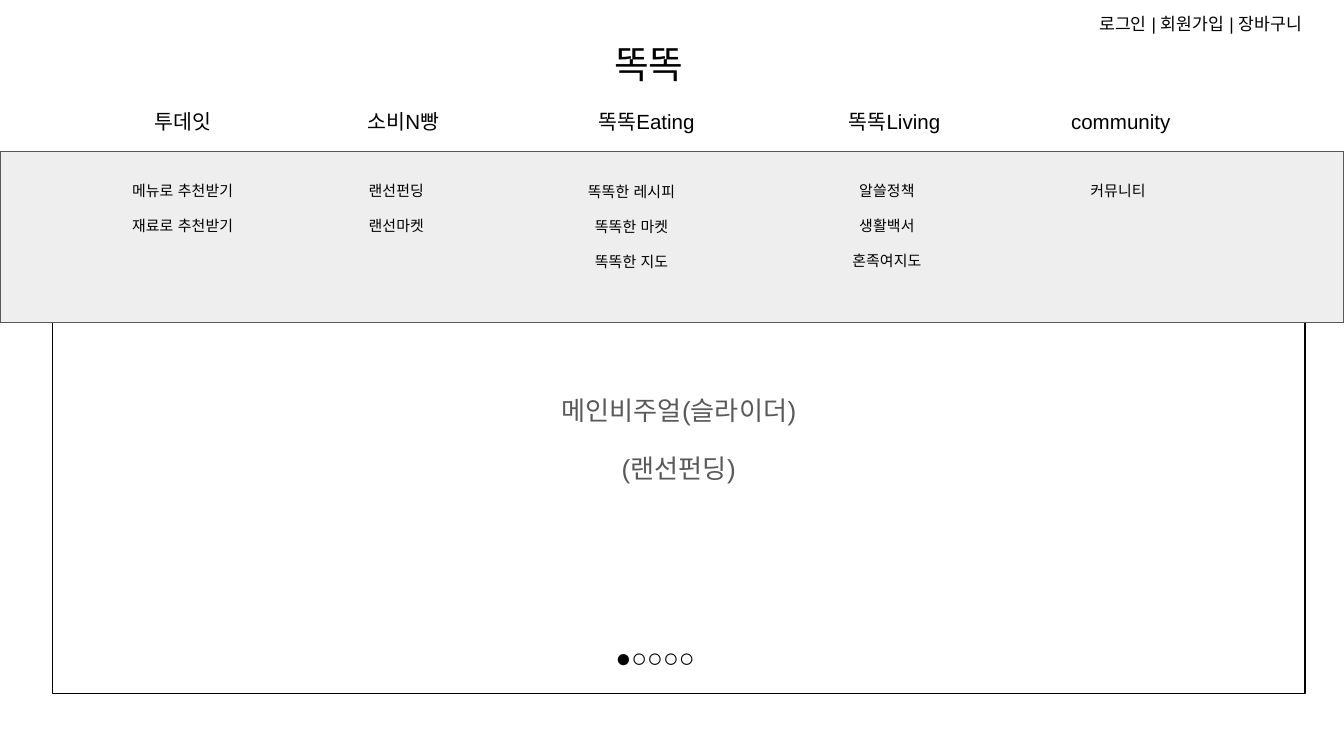
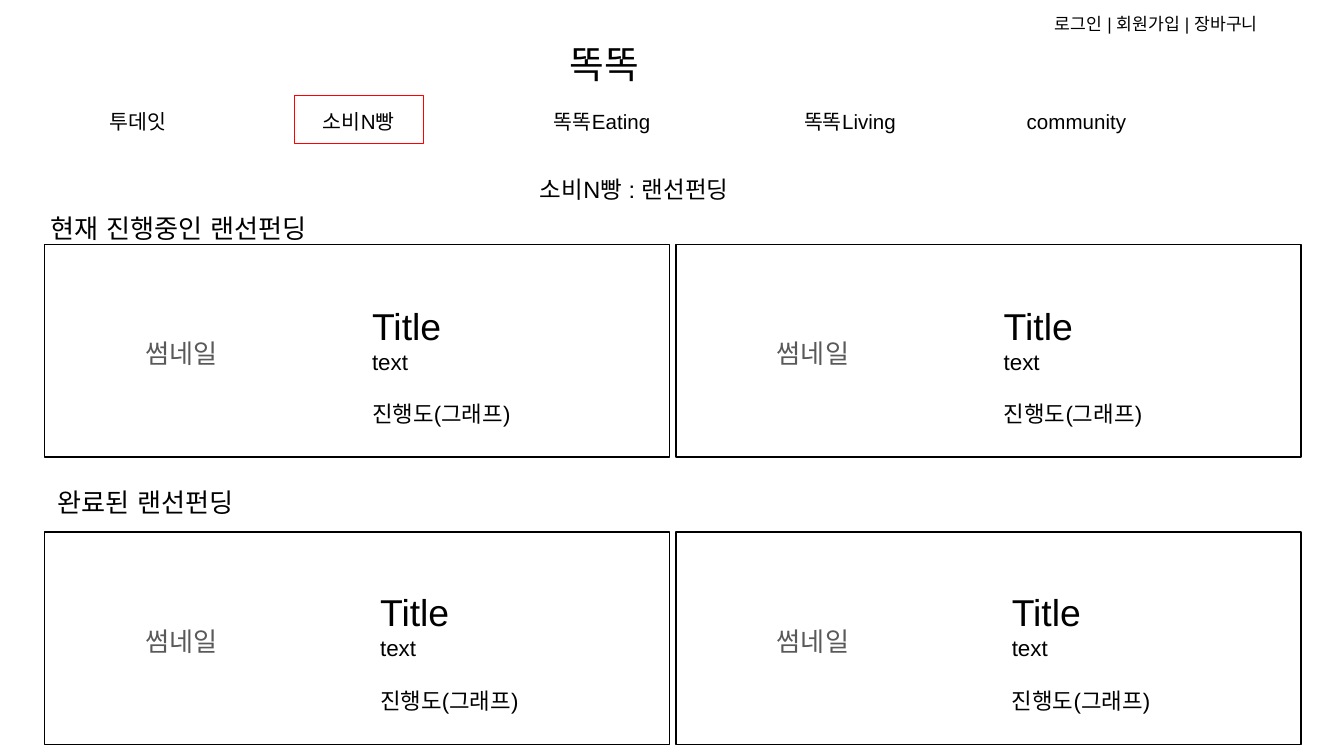
from dataclasses import dataclass
from typing import NamedTuple

from lxml.etree import SubElement
from pptx import Presentation
from pptx.dml.color import RGBColor
from pptx.enum.shapes import MSO_SHAPE as Preset
from pptx.enum.text import MSO_ANCHOR as Anchor, MSO_AUTO_SIZE as AutoSize, PP_ALIGN as Align
from pptx.oxml.ns import qn
from pptx.util import Inches, Pt

# Grid: 100 columns by 56.25 rows of square cells
CELL = 0.1
COLUMNS, ROWS = 100, 56.25


@dataclass(frozen=True)
class Theme:
    font: str = "Arial"
    ink: str = "000000"
    muted: str = "595959"
    panel: str = "EEEEEE"
    active: str = "FF0000"
    line: float = 0.75
    logo: float = 20.2
    card_title: float = 20
    heading: float = 14
    subtitle: float = 12.6
    body: float = 12
    menu: float = 11
    utility: float = 9.2
    submenu: float = 8


class Area(NamedTuple):
    left: float
    top: float
    width: float
    height: float

    def emu(self) -> list:
        return [Inches(cells * CELL) for cells in self]


class Line(NamedTuple):
    text: str
    size: float
    before: float = 0
    after: float = 0


class Menu(NamedTuple):
    label: str
    left: float
    width: float
    items: tuple
    items_left: float
    items_top: float = 12.5


class Section(NamedTuple):
    heading: str
    heading_left: float
    heading_top: float
    cards_top: float
    details_left: float
    details_top: float


THEME = Theme()
LOGO = "똑똑"
MENUS = (
    Menu("투데잇", 8.8, 9.6, ("메뉴로 추천받기", "재료로 추천받기"), 6.9),
    Menu("소비N빵", 25.2, 9.6, ("랜선펀딩", "랜선마켓"), 22.8),
    Menu("똑똑Eating", 41.7, 12.8, ("똑똑한 레시피", "똑똑한 마켓", "똑똑한 지도"), 40.3, 12.6),
    Menu("똑똑Living", 61.4, 10.3, ("알쓸정책", "생활백서", "혼족여지도"), 59.3),
    Menu("community", 78.6, 9.6, ("커뮤니티",), 76.5),
)
SECTIONS = (
    Section("현재 진행중인 랜선펀딩", 2.8, 14.8, 18.2, 23.4, 2.7),
    Section("완료된 랜선펀딩", 3.3, 35.2, 39.6, 24, 2.6),
)
CARD_LEFT, CARD_WIDTH, CARD_HEIGHT, CARD_STEP = 3.3, 46.5, 15.8, 47


# Drawing helpers
def blank_line(size: float) -> float:
    return size * 1.15


def write(box, *lines: Line, color: str = THEME.ink, align=Align.LEFT,
          anchor=Anchor.TOP, spacing: float = 1, indent: float = 0) -> None:
    frame = box.text_frame
    frame.word_wrap = True
    frame.auto_size = AutoSize.NONE
    frame.vertical_anchor = anchor
    frame.margin_left = Inches((1 + indent) * CELL)
    frame.margin_right = frame.margin_top = frame.margin_bottom = Inches(CELL)
    for index, line in enumerate(lines):
        para = frame.add_paragraph() if index else frame.paragraphs[0]
        props = para._p.get_or_add_pPr()
        props.set("marL", "0")
        props.set("indent", "0")
        SubElement(props, qn("a:buNone"))
        para.alignment = align
        para.line_spacing = spacing
        para.space_before, para.space_after = Pt(line.before), Pt(line.after)
        span = para.add_run()
        span.text = line.text
        span.font.size = Pt(line.size)
        span.font.color.rgb = RGBColor.from_string(color)
        span.font.name = THEME.font
        SubElement(span.font._element, qn("a:ea")).set("typeface", THEME.font)


def move(box, area: Area):
    box.left, box.top, box.width, box.height = area.emu()
    return box


def outline(box, color: str):
    box.line.color.rgb = RGBColor.from_string(color)
    box.line.width = Pt(THEME.line)
    return box


def text_box(page, area: Area):
    return page.shapes.add_textbox(*area.emu())


def rectangle(page, area: Area, line: str, fill: str = ""):
    box = page.shapes.add_shape(Preset.RECTANGLE, *area.emu())
    box.shadow.inherit = False
    if fill:
        box.fill.solid()
        box.fill.fore_color.rgb = RGBColor.from_string(fill)
    else:
        box.fill.background()
    return outline(box, line)


# Shared header: logo, main menu and account links
def draw_header(page, logo_box=None, shift: float = 0, active: str = "") -> None:
    logo_area = Area(44.7 - shift, 2, 8, 4.2)
    logo_box = move(logo_box, logo_area) if logo_box else text_box(page, logo_area)
    write(logo_box, Line(LOGO, THEME.logo))
    for menu in MENUS:
        area = Area(menu.left - shift, 7.1, menu.width, 3.6)
        chosen = menu.label == active
        box = rectangle(page, area, THEME.active) if chosen else text_box(page, area)
        write(box, Line(menu.label, THEME.menu), align=Align.CENTER)
    write(text_box(page, Area(80.8 - shift, 0, 19.2, 4.2)),
          Line("로그인 | 회원가입 | 장바구니", THEME.utility))


# Main page with the open menu
def draw_main(deck) -> None:
    page = deck.slides.add_slide(deck.slide_layouts[1])
    visual = outline(move(page.placeholders[1], Area(3.9, 13.4, 93.2, 38.2)), THEME.ink)
    write(visual, Line("메인비주얼(슬라이더)", THEME.heading),
          Line("(랜선펀딩)", THEME.heading, before=12, after=12),
          color=THEME.muted, align=Align.CENTER, anchor=Anchor.MIDDLE, spacing=1.15)
    draw_header(page, page.shapes.title)
    write(text_box(page, Area(44.2, 46.7, 9.1, 4.4)),
          Line("●○○○○", THEME.heading), align=Align.CENTER)
    rectangle(page, Area(0, 11.3, COLUMNS, 12.7), THEME.muted, THEME.panel)
    for menu in MENUS:
        lines = [Line(item, THEME.submenu, blank_line(THEME.submenu) if index else 0)
                 for index, item in enumerate(menu.items)]
        write(text_box(page, Area(menu.items_left, menu.items_top, 13.4, 11.4)),
              *lines, align=Align.CENTER)


# Funding page with two rows of cards
def draw_card(page, left: float, section: Section) -> None:
    card = rectangle(page, Area(left, section.cards_top, CARD_WIDTH, CARD_HEIGHT), THEME.ink)
    write(card, Line("썸네일", THEME.heading, after=12), color=THEME.muted,
          anchor=Anchor.MIDDLE, spacing=1.15, indent=6.5)
    details = Area(left + section.details_left, section.cards_top + section.details_top, 21.3, 11.9)
    write(text_box(page, details), Line("Title", THEME.card_title), Line("text", THEME.body),
          Line("진행도(그래프)", THEME.body, blank_line(THEME.body)), anchor=Anchor.BOTTOM)


def draw_funding(deck) -> None:
    page = deck.slides.add_slide(deck.slide_layouts[5])
    write(move(page.shapes.title, Area(32.8, 12, 28.8, 3.2)),
          Line("소비N빵 : 랜선펀딩", THEME.subtitle), align=Align.CENTER)
    draw_header(page, shift=3.3, active="소비N빵")
    for section in SECTIONS:
        for column in range(2):
            draw_card(page, CARD_LEFT + column * CARD_STEP, section)
        write(text_box(page, Area(section.heading_left, section.heading_top, 25.6, 4.4)),
              Line(section.heading, THEME.heading))


def main() -> None:
    deck = Presentation()
    deck.slide_width, deck.slide_height = Inches(COLUMNS * CELL), Inches(ROWS * CELL)
    draw_main(deck)
    draw_funding(deck)
    deck.save("out.pptx")


if __name__ == "__main__":
    main()
